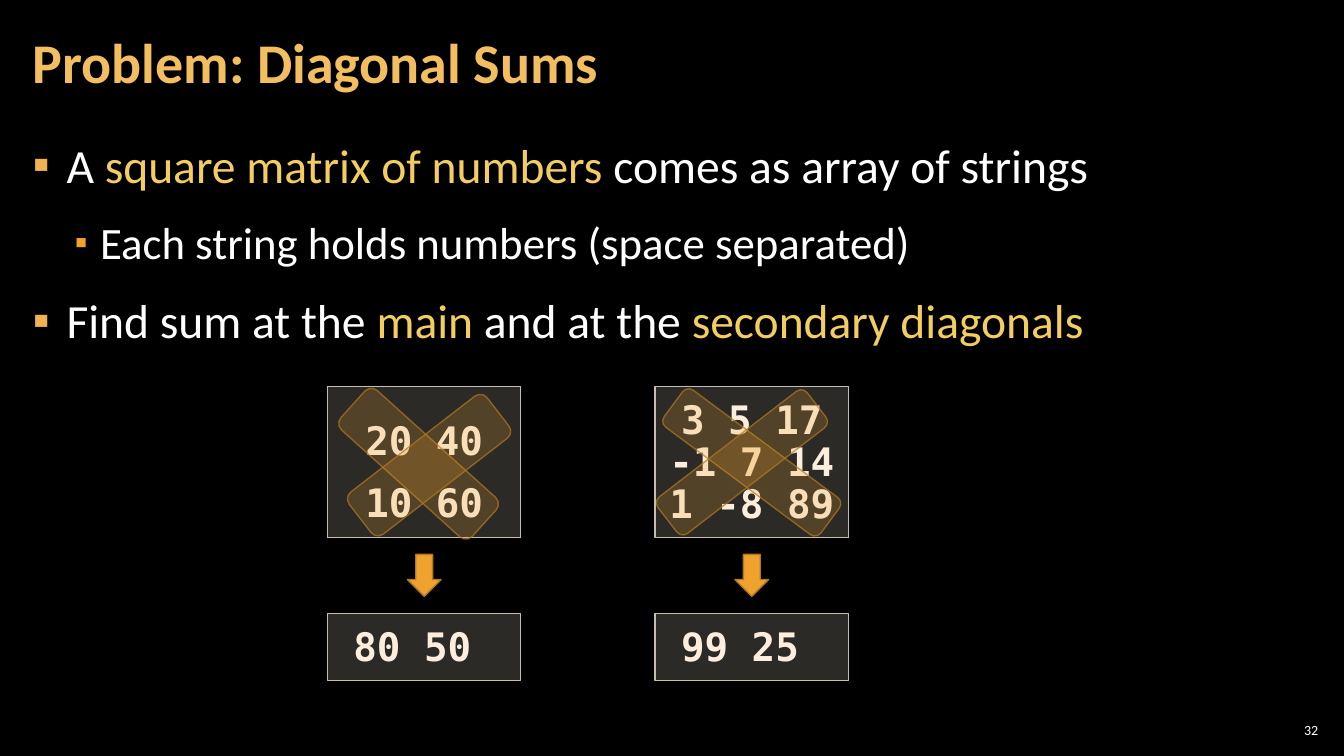
from pptx import Presentation
from pptx import util as u
from pptx.dml.color import RGBColor
from pptx.enum import shapes, text
from pptx.oxml import parse_xml
from pptx.oxml.ns import nsdecls, qn

BLACK = RGBColor(0x00, 0x00, 0x00)
WHITE = RGBColor(0xFF, 0xFF, 0xFF)
TITLE_GOLD = RGBColor(0xF3, 0xBE, 0x60)
KEYWORD = RGBColor(0xF3, 0xCD, 0x60)
BULLET = RGBColor(0xF2, 0xB2, 0x54)
ORANGE = RGBColor(0xF0, 0xA2, 0x2E)
BROWN = RGBColor(0xB2, 0x78, 0x22)
PANEL = RGBColor(0xD9, 0xD5, 0xC7)
PANEL_EDGE = RGBColor(0xC7, 0xBF, 0xAC)
NUMBERS = RGBColor(0xFB, 0xEE, 0xDC)

Shape = shapes.MSO_SHAPE
Anchor = text.MSO_ANCHOR
Align = text.PP_ALIGN

deck = Presentation()
deck.slide_width, deck.slide_height = u.Pt(960), u.Pt(540)
slide = deck.slides.add_slide(deck.slide_layouts[6])
slide.background.fill.solid()
slide.background.fill.fore_color.rgb = BLACK


def write(part, lines, fmt, anchor, insets, spacing=None, align=Align.LEFT):
    frame = part.text_frame
    frame.word_wrap = True
    frame.vertical_anchor = anchor
    for side, inset in zip(("left", "top", "right", "bottom"), insets):
        setattr(frame, f"margin_{side}", u.Pt(inset))
    for index, line in enumerate(lines):
        paragraph = frame.add_paragraph() if index else frame.paragraphs[0]
        paragraph.alignment = align
        paragraph.line_spacing = spacing
        for words, color in line:
            run = paragraph.add_run()
            run.text = words
            run.font.color.rgb = color
            for key, value in fmt.items():
                setattr(run.font, key, value)
    return frame.paragraphs


def draw(kind, box, fill, edge, fill_alpha=100, edge_alpha=100):
    part = slide.shapes.add_shape(kind, *map(u.Pt, box))
    part.shadow.inherit = False
    part.fill.solid()
    part.fill.fore_color.rgb = fill
    part.line.color.rgb = edge
    part.line.width = u.Pt(1)
    colors = part._element.spPr.findall(".//" + qn("a:srgbClr"))
    for color, alpha in zip(colors, (fill_alpha, edge_alpha)):
        if alpha < 100:
            color.append(parse_xml(f'<a:alpha {nsdecls("a")} val="{alpha * 1000}"/>'))
    return part


page_number = slide.shapes.add_textbox(*map(u.Pt, (910.8, 514, 33.8, 15)))
write(page_number, [[("32", WHITE)]], {"name": "Calibri", "size": u.Pt(10)},
      Anchor.MIDDLE, (3, 3, 3, 3), align=Align.RIGHT)

title = slide.shapes.add_textbox(*map(u.Pt, (15, 3, 754, 87)))
write(title, [[("Problem: Diagonal Sums", TITLE_GOLD)]],
      {"name": "Calibri", "size": u.Pt(40), "bold": True},
      Anchor.MIDDLE, (8.5, 3, 8.5, 3), 0.9)

task = [
    [("A ", WHITE), ("square matrix of numbers", KEYWORD),
     (" comes as array of strings", WHITE)],
    [("Each string holds numbers (space separated)", WHITE)],
    [("Find sum at the ", WHITE), ("main", KEYWORD), (" and at the ", WHITE),
     ("secondary diagonals", KEYWORD)],
]
bullet_styles = [
    (0, 24, -24, BULLET, 100, 34),
    (1, 48, -18, ORANGE, 80, 32),
    (0, 24, -24, BULLET, 100, 34),
]
task_box = slide.shapes.add_textbox(*map(u.Pt, (15, 89.5, 929.5, 438.5)))
points = write(task_box, task, {"name": "Calibri"}, Anchor.TOP, (8.5, 3.5, 8.5, 3.5), 1.1)
for index, (point, style) in enumerate(zip(points, bullet_styles)):
    level, margin, indent, color, percent, size = style
    point.level = level
    if index:
        point.space_before = u.Pt(6)
    point.space_after = u.Pt(6)
    settings = point._p.get_or_add_pPr()
    settings.set("marL", str(u.Pt(margin)))
    settings.set("indent", str(u.Pt(indent)))
    for tag in (f'<a:buClr {nsdecls("a")}><a:srgbClr val="{color}"/></a:buClr>',
                f'<a:buSzPct {nsdecls("a")} val="{percent * 1000}"/>',
                f'<a:buFont {nsdecls("a")} typeface="Calibri"/>',
                f'<a:buChar {nsdecls("a")} char="▪"/>'):
        settings.append(parse_xml(tag))
    for run in point.runs:
        run.font.size = u.Pt(size)

examples = [
    (["20 40", "10 60"], 1.3, "80 50 ",
     [((280, 268, 38, 126.5), 312.1), ((287.5, 270, 38, 124.5), 52.3)]),
    (["3 5 17", "-1 7 14", "1 -8 89"], 0.9, "99 25 ",
     [((520.5, 260.5, 33, 139.5), 306.6), ((513.5, 263, 33, 134.5), 52.4)]),
]
code_font = {"name": "DejaVu Sans Mono", "size": u.Pt(28), "bold": True}
for column, (matrix, spacing, sums, diagonals) in enumerate(examples):
    left = 234 * (column + 1)
    for top, height, rows, row_spacing in ((276, 108, matrix, spacing),
                                           (438, 48, [sums], 0.9)):
        panel = draw(Shape.RECTANGLE, (left, top, 138, height), PANEL, PANEL_EDGE, 20)
        write(panel, [[(row, NUMBERS)] for row in rows], code_font,
              Anchor.MIDDLE, (7, 5.5, 7, 3), row_spacing, Align.CENTER)
    draw(Shape.DOWN_ARROW, (left + 57, 396, 24, 30), ORANGE, BROWN)
    for box, angle in diagonals:
        diagonal = draw(Shape.ROUNDED_RECTANGLE, box, ORANGE, BROWN, 20, 70)
        diagonal.rotation = angle

deck.save("out.pptx")
